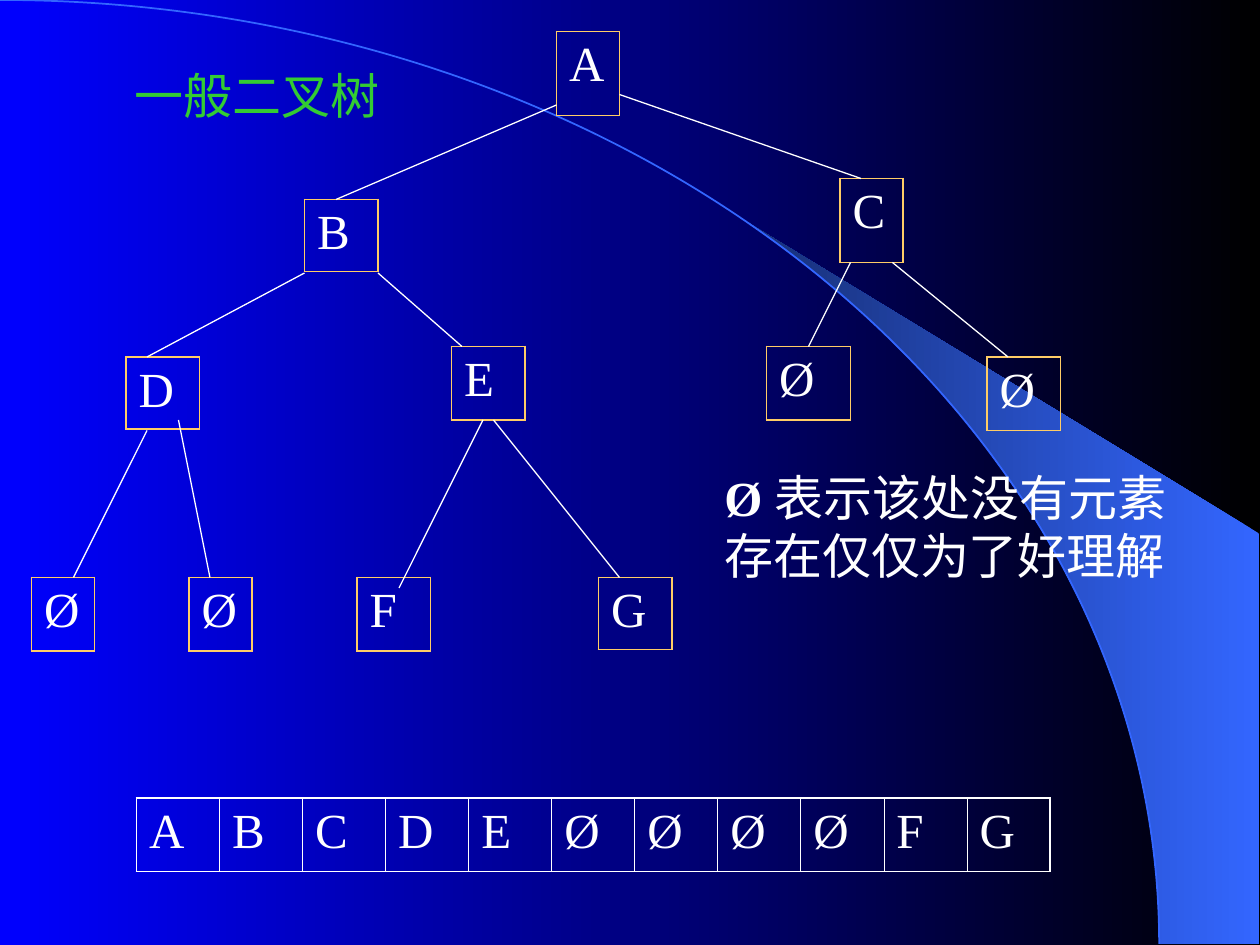
from math import cos, radians, sin

from lxml.etree import SubElement
from pptx import Presentation
from pptx.dml.color import RGBColor
from pptx.enum.shapes import MSO_CONNECTOR, MSO_SHAPE
from pptx.enum.text import MSO_ANCHOR, PP_ALIGN
from pptx.oxml import parse_xml
from pptx.oxml.ns import nsdecls, qn
from pptx.util import Cm, Pt

COLORS = {
    "black": "000000",
    "blue": "0000FF",
    "sky": "3366FF",
    "navy": "172F75",
    "gold": "FFCC66",
    "white": "FFFFFF",
    "green": "33CC33",
}
SERIF = "Times New Roman"
STEP = 2.54 / 12
ARC_W, ARC_H = 110.4, 89.9

NODES = [
    ("A", 53, 3, 6, 8),
    ("B", 29, 19, 7, 6.85),
    ("C", 80, 17, 6, 8),
    ("D", 12, 34, 7, 6.85),
    ("E", 43, 33, 7, 7),
    ("F", 34, 55, 7, 7),
    ("G", 57, 55, 7, 6.85),
    ("Ø", 73, 33, 8, 7),
    ("Ø", 94, 34, 7, 7),
    ("Ø", 3, 55, 6, 7),
    ("Ø", 18, 55, 6, 7),
]
EDGES = [
    (53, 10, 32, 19),
    (59, 9, 82, 17),
    (29, 26, 14, 34),
    (36, 26, 44, 33),
    (81, 25, 77, 33),
    (85, 25, 96, 34),
    (14, 41, 7, 55),
    (17, 40, 20, 55),
    (46, 40, 38, 56),
    (47, 40, 59, 55),
]


def grid(*nums):
    return [Cm(num * STEP) for num in nums]


def color(name):
    return RGBColor.from_string(COLORS[name])


def style(run, tint="white", font=SERIF, bold=False):
    run.font.name = font
    run.font.size = Pt(28)
    run.font.bold = bold
    run.font.color.rgb = color(tint)


def shade(fill, start, end):
    fill.gradient()
    fill.gradient_angle = 180
    for stop, name in zip(fill.gradient_stops, (start, end)):
        stop.color.rgb = color(name)


def add_wedge(slide):
    curve = [
        grid(ARC_W * sin(radians(deg)), ARC_H * (1 - cos(radians(deg))))
        for deg in range(40, 91, 2)
    ]
    form = slide.shapes.build_freeform(*curve[0], scale=1.0)
    form.add_line_segments(curve[1:] + [grid(119.9, ARC_H), grid(119.9, 50.8)])
    wedge = form.convert_to_shape()
    wedge.shadow.inherit = False
    shade(wedge.fill, "sky", "navy")
    wedge.line.fill.background()


def add_arc(slide):
    box = grid(-ARC_W, 0, 2 * ARC_W, 2 * ARC_H)
    arc = slide.shapes.add_shape(MSO_SHAPE.ARC, *box)
    arc.shadow.inherit = False
    arc.fill.background()
    arc.line.color.rgb = color("sky")
    arc.line.width = Pt(1)


def add_edges(cell, tint, widths):
    props = cell._tc.get_or_add_tcPr()
    for spot, (side, width) in enumerate(zip("LRTB", widths)):
        line = parse_xml(f'<a:ln{side} {nsdecls("a")} w="{Pt(width)}"/>')
        fill = SubElement(line, qn("a:solidFill"))
        SubElement(fill, qn("a:srgbClr"), val=COLORS[tint])
        props.insert(spot, line)


def add_cells(slide, text, box, tint):
    count = len(text)
    table = slide.shapes.add_table(1, count, *grid(*box)).table
    table.first_row = False
    table.horz_banding = False
    for col, mark in enumerate(text):
        cell = table.cell(0, col)
        cell.fill.background()
        cell.text_frame.text = mark
        para = cell.text_frame.paragraphs[0]
        para.space_before = Pt(7)
        style(para.runs[0])
        left = 1.08 if col == 0 else 0.45
        right = 1.08 if col == count - 1 else 0.45
        add_edges(cell, tint, (left, right, 1.08, 1.08))


def add_line(slide, ends):
    line = slide.shapes.add_connector(MSO_CONNECTOR.STRAIGHT, *grid(*ends))
    line.line.color.rgb = color("white")
    line.line.width = Pt(0.75)
    SubElement(line._element.spPr, qn("a:effectLst"))


def add_text(slide, box):
    frame = slide.shapes.add_textbox(*grid(*box)).text_frame
    frame.word_wrap = True
    return frame


def add_note(slide):
    para = add_text(slide, (67.8, 43.9, 47.2, 12.5)).paragraphs[0]
    for text, bold in (("Ø ", True), ("表示该处没有元素存在仅仅为了好理解", False)):
        run = para.add_run()
        run.text = text
        style(run, bold=bold)


def add_title(slide):
    frame = add_text(slide, (8, 6, 33, 6))
    frame.vertical_anchor = MSO_ANCHOR.MIDDLE
    frame.text = "一般二叉树"
    para = frame.paragraphs[0]
    para.alignment = PP_ALIGN.CENTER
    style(para.runs[0], "green", "Arial")


def main():
    deck = Presentation()
    deck.slide_width, deck.slide_height = Cm(25.4), Cm(19.05)
    slide = deck.slides.add_slide(deck.slide_layouts[6])
    shade(slide.background.fill, "black", "blue")
    add_wedge(slide)
    add_arc(slide)
    for mark, *box in NODES:
        add_cells(slide, mark, box, "gold")
    for ends in EDGES:
        add_line(slide, ends)
    add_note(slide)
    add_cells(slide, "ABCDEØØØØFG", (13, 76, 87, 7), "white")
    add_title(slide)
    deck.save("out.pptx")


if __name__ == "__main__":
    main()
